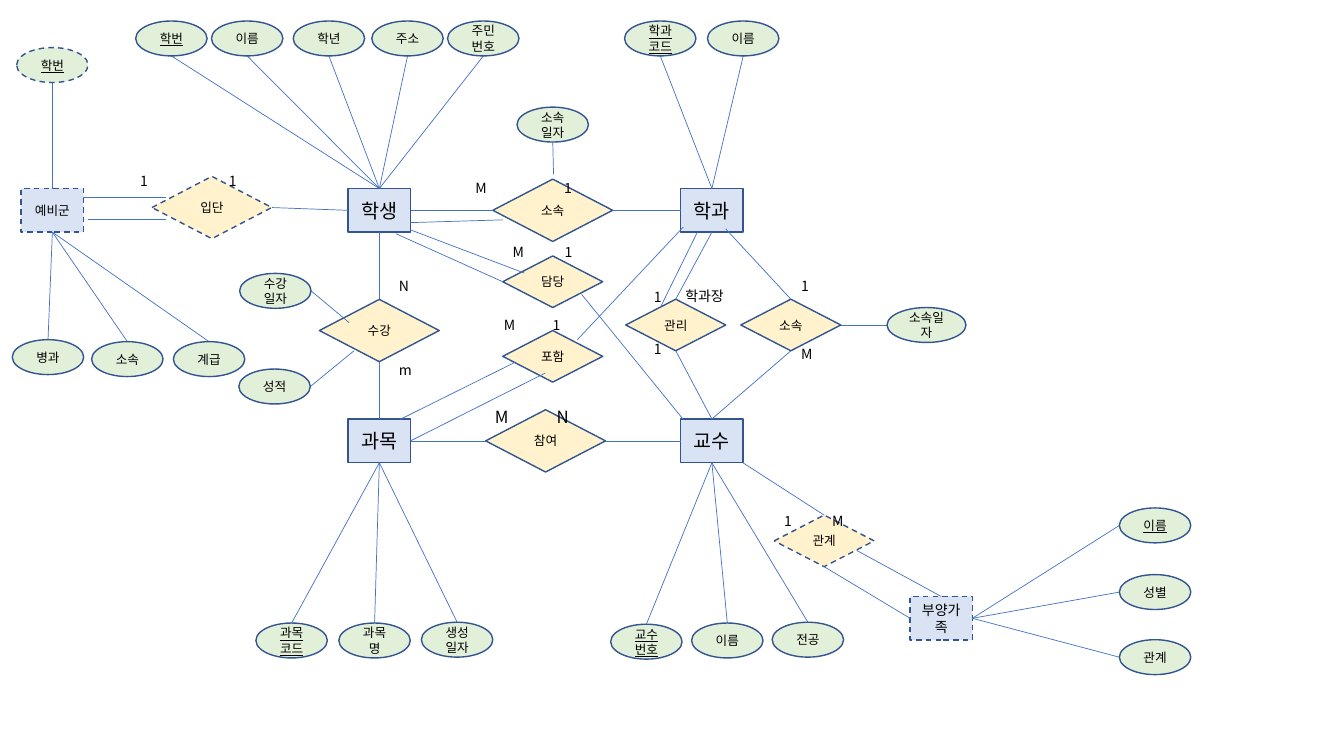
from lxml import etree
from pptx import Presentation
from pptx.dml.color import RGBColor
from pptx.enum import dml, shapes, text
from pptx.oxml.ns import qn
from pptx.util import Cm, Pt

FONT = "Noto Sans CJK KR"
BLACK = RGBColor(0, 0, 0)
BLUE = RGBColor(0xDA, 0xE3, 0xF3)
YELLOW = RGBColor(0xFF, 0xF2, 0xCC)
GREEN = RGBColor(0xE2, 0xF0, 0xD9)
OUTLINE = RGBColor(0x32, 0x54, 0x91)
LINK = RGBColor(0x44, 0x72, 0xC4)

ENTITY_SIZE = (1.57, 1.1)
WIDE, NARROW = (3.02, 1.57), (2.52, 1.3)
OVAL, LONG_OVAL = (1.8, 0.88), (1.99, 0.88)

ENTITIES = [
    ("학생", 9.56, 5.3, 14, False),
    ("예비군", 1.32, 5.3, 9, True),
    ("학과", 17.94, 5.3, 14, False),
    ("과목", 9.56, 11.11, 14, False),
    ("교수", 17.94, 11.11, 14, False),
    ("부양가족", 23.72, 15.58, 10, True),
]
RELATIONS = [
    ("입단", "입단", 5.34, 5.23, WIDE, True),
    ("학과소속", "소속", 13.93, 5.3, WIDE, False),
    ("수강", "수강", 9.56, 8.33, WIDE, False),
    ("참여", "참여", 13.75, 11.11, WIDE, False),
    ("담당", "담당", 13.93, 7.1, NARROW, False),
    ("포함", "포함", 13.93, 8.98, NARROW, False),
    ("관리", "관리", 17.03, 8.19, NARROW, False),
    ("교수소속", "소속", 19.93, 8.19, NARROW, False),
    ("관계", "관계", 20.77, 13.63, NARROW, True),
]
ATTRIBUTES = [
    ("예비군 b", "t", [("병과", 1.21, 9), ("소속", 3.21, 9.05), ("계급", 5.27, 9.05)]),
    ("예비군 t", "b", [("학번", 1.32, 1.64)]),
    ("학생 t", "b", [("학번", 4.32, 0.97), ("이름", 6.23, 0.97), ("학년", 8.29, 0.97),
                   ("주소", 10.27, 0.97), ("주민번호", 12.18, 0.97)]),
    ("학과 t", "b", [("학과코드", 16.64, 0.97), ("이름", 18.73, 0.97)]),
    ((13.95, 4.39), "b", [("소속일자", 13.93, 3.14)]),
    ("교수소속 r", "l", [("소속일자", 23.35, 8.19)]),
    ("부양가족 r", "l", [("이름", 29.11, 13.24), ("성별", 29.11, 14.92),
                     ("관계", 29.11, 16.56)]),
    ((8.8, 8.13), "r", [("수강일자", 6.94, 7.33)]),
    ((8.92, 8.84), "r", [("성적", 6.92, 9.74)]),
    ("과목 b", "t", [("과목코드", 7.35, 16.14), ("과목명", 9.44, 16.14),
                   ("생성일자", 11.52, 16.12)]),
    ("교수 b", "t", [("교수번호", 16.29, 16.17), ("이름", 18.33, 16.14),
                   ("전공", 20.36, 16.12)]),
]
KEYS = {("예비군 t", "학번"), ("학생 t", "학번"), ("학과 t", "학과코드"),
        ("부양가족 r", "이름"), ("과목 b", "과목코드"), ("교수 b", "교수번호")}
LINKS = [
    ((2.1, 4.98), (4.19, 4.98)), ((2.21, 5.54), (4.19, 5.54)),
    ("입단 r", "학생 l"), ("학생 r", "학과소속 l"), ("학과소속 r", "학과 l"),
    ((10.34, 5.61), (12.67, 5.54)),
    ("학생 b", "수강 t"), ("수강 b", "과목 t"),
    ("학과 b", "관리 t"), ((17.58, 5.84), (16.64, 7.75)),
    ((18.29, 5.77), "교수소속 t"), ("관리 b", "교수 t"), ("교수소속 b", "교수 t"),
    ("과목 r", "참여 l"), ("참여 r", "교수 l"),
    ((18.72, 11.66), "관계 t"), ("부양가족 t", (21.59, 13.87)), ("부양가족 l", "관계 b"),
    ((10.08, 10.57), (13, 9.12)), ("과목 r", (13.74, 9.4)),
    ((14.55, 8.56), (17.22, 5.72)),
    ((10.34, 5.79), (13.21, 6.88)), ((9.98, 5.89), "담당 l"),
    ((14.66, 7.42), (17.22, 10.57)),
]
ACROSS = [
    ("1", "1", 3.28, 4.22, 4.14, 2.24, 10),
    ("M", "1", 11.73, 4.39, 4.47, 2.24, 10),
    ("M", "N", 12.22, 10.13, 3.38, 1.56, 12),
    ("M", "1", 12.67, 6.02, 2.92, 1.31, 10),
    ("1", "M", 19.51, 12.8, 3.81, 1.21, 10),
    ("M", "1", 12.45, 7.85, 2.87, 1.23, 10),
]
DOWN = [
    ("N", "m", 9.8, 6.88, 0.9, 2.82, 48),
    ("1", "1", 16.23, 7.14, 1.35, 1.96, 25),
    ("1", "M", 19.94, 6.88, 0.9, 2.39, 36),
]

prs = Presentation()
prs.slide_width, prs.slide_height = Cm(33.87), Cm(19.05)
s = prs.slides.add_slide(prs.slide_layouts[6])
places = {}


def write(sp, *lines, pt=9, key=False, align=text.PP_ALIGN.CENTER,
          anchor=text.MSO_ANCHOR.MIDDLE, gap=0, tab=None):
    tf = sp.text_frame
    tf.word_wrap = True
    tf.vertical_anchor = anchor
    for i, line in enumerate(lines):
        p = tf.add_paragraph() if i else tf.paragraphs[0]
        p.alignment = align
        p.space_before = Pt(gap if i else 0)
        if tab:
            stops = etree.SubElement(p._p.get_or_add_pPr(), qn("a:tabLst"))
            etree.SubElement(stops, qn("a:tab"), pos=str(int(Cm(tab))), algn="l")
        r = p.add_run()
        r.text = line
        r.font.size, r.font.name = Pt(pt), FONT
        r.font.color.rgb = BLACK
        if key:
            r.font.underline = True
        etree.SubElement(r._r.get_or_add_rPr(), qn("a:ea"), typeface=FONT)


def node(kind, label, x, y, size, fill, dashed=False, **fmt):
    w, h = size
    sp = s.shapes.add_shape(kind, Cm(x - w / 2), Cm(y - h / 2), Cm(w), Cm(h))
    sp.shadow.inherit = False
    sp.fill.solid()
    sp.fill.fore_color.rgb = fill
    sp.line.color.rgb = OUTLINE
    sp.line.width = Pt(1)
    if dashed:
        sp.line.dash_style = dml.MSO_LINE.DASH
    write(sp, label, **fmt)


def side(x, y, size, edge):
    dx, dy = {"l": (-1, 0), "r": (1, 0), "t": (0, -1), "b": (0, 1)}[edge]
    return x + dx * size[0] / 2, y + dy * size[1] / 2


def point(end):
    if isinstance(end, tuple):
        return end
    name, edge = end.split()
    return side(*places[name], edge)


def link(start, end):
    ends = [Cm(v) for v in point(start) + point(end)]
    c = s.shapes.add_connector(shapes.MSO_CONNECTOR.STRAIGHT, *ends)
    c.line.color.rgb = LINK
    c.line.width = Pt(0.5)
    etree.SubElement(c._element.spPr, qn("a:effectLst"))


def note(*lines, box, **fmt):
    sp = s.shapes.add_textbox(*[Cm(v) for v in box])
    write(sp, *lines, align=text.PP_ALIGN.LEFT, anchor=text.MSO_ANCHOR.TOP, **fmt)


for name, x, y, pt, weak in ENTITIES:
    places[name] = (x, y, ENTITY_SIZE)
    node(shapes.MSO_SHAPE.RECTANGLE, name, x, y, ENTITY_SIZE, BLUE, weak, pt=pt)

for name, label, x, y, size, weak in RELATIONS:
    places[name] = (x, y, size)
    node(shapes.MSO_SHAPE.DIAMOND, label, x, y, size, YELLOW, weak)

for start, end in LINKS:
    link(start, end)

for owner, edge, ovals in ATTRIBUTES:
    for label, x, y in ovals:
        size = LONG_OVAL if owner == "교수소속 r" else OVAL
        link(owner, side(x, y, size, edge))
        node(shapes.MSO_SHAPE.OVAL, label, x, y, size, GREEN, owner == "예비군 t",
             key=(owner, label) in KEYS)

for first, second, x, y, w, tab, pt in ACROSS:
    note(f"{first}\t{second}", box=(x, y, w, 0.69), pt=pt, tab=tab)

for first, second, x, y, w, h, gap in DOWN:
    note(first, second, box=(x, y, w, h), pt=10, gap=gap)

note("학과장", box=(17.02, 7.11, 1.8, 0.69), pt=10)
prs.save("out.pptx")
